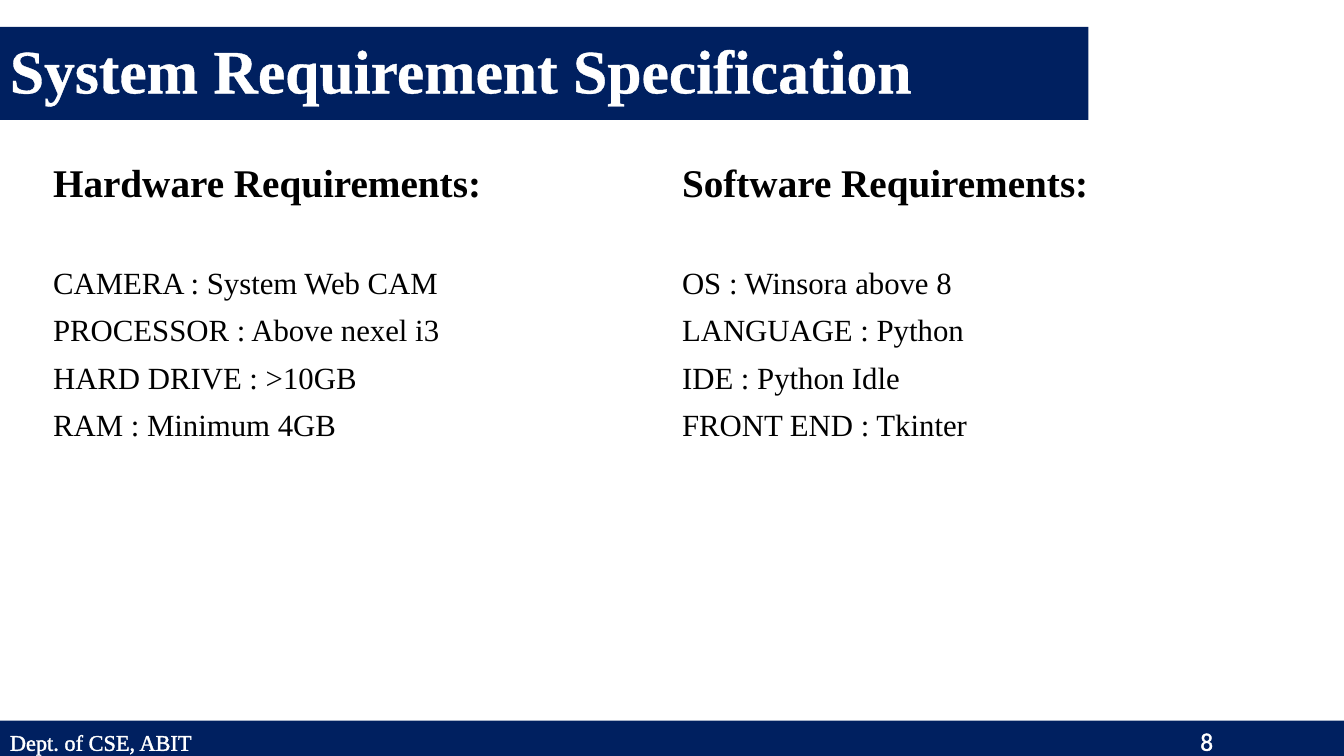
from lxml.etree import SubElement
from pptx import Presentation
from pptx.dml.color import RGBColor
from pptx.enum.shapes import MSO_SHAPE
from pptx.enum.text import MSO_ANCHOR, PP_ALIGN
from pptx.oxml.ns import qn
from pptx.util import Cm, Pt

NAVY = RGBColor(0x00, 0x20, 0x60)
WHITE = RGBColor(0xFF, 0xFF, 0xFF)
BLACK = RGBColor(0x00, 0x00, 0x00)
SERIF = "Times New Roman"

TITLE = "System Requirement Specification"
DEPARTMENT = "Dept. of CSE, ABIT"
PAGE = "8"
REQUIREMENTS = [
    ("Hardware Requirements:", Cm(1.09), Cm(13.84), [
        "CAMERA : System Web CAM",
        "PROCESSOR : Above nexel i3",
        "HARD DRIVE : >10GB",
        "RAM : Minimum 4GB",
    ]),
    ("Software Requirements:", Cm(16.94), Cm(11.15), [
        "OS : Winsora above 8",
        "LANGUAGE : Python",
        "IDE : Python Idle",
        "FRONT END : Tkinter",
    ]),
]

TITLE_FONT = {"name": SERIF, "size": Pt(44), "bold": True}
HEADING_FONT = {"name": SERIF, "size": Pt(28), "bold": True}
ITEM_FONT = {"name": SERIF, "size": Pt(22), "bold": False}
DEPARTMENT_FONT = {"name": SERIF, "size": Pt(16)}
PAGE_FONT = {"name": "Calibri", "size": Pt(18)}

SLIDE_WIDTH, SLIDE_HEIGHT = Cm(33.87), Cm(19.05)
FOOTER_TOP = Cm(18.16)
COLUMN_TOP, COLUMN_HEIGHT = Cm(4.01), Cm(11.33)
PAGE_TAB = Cm(30)
LINE_SPACING = 0.9
SPACE_BEFORE = Pt(10)
SPACE_AFTER_HEADING = Pt(34)


def add_text(paragraph, text, font, color):
    run = paragraph.add_run()
    run.text = text
    for attribute, value in font.items():
        setattr(run.font, attribute, value)
    run.font.color.rgb = color
    return run


def add_outlined_text(paragraph, text, font):
    """Add white text with a thin white line around its letters."""
    properties = add_text(paragraph, text, font, WHITE).font._element
    line = properties.makeelement(qn("a:ln"), {"w": str(Pt(0.75))})
    properties.insert(0, line)
    fill = SubElement(line, qn("a:solidFill"))
    SubElement(fill, qn("a:srgbClr"), val=str(WHITE))


def add_bar(slide, top, width, height, anchor):
    """Add a navy bar from the left edge and return its paragraph."""
    bar = slide.shapes.add_shape(MSO_SHAPE.RECTANGLE, 0, top, width, height)
    bar.shadow.inherit = False
    bar.fill.solid()
    bar.fill.fore_color.rgb = NAVY
    bar.line.fill.background()
    bar.text_frame.word_wrap = True
    bar.text_frame.vertical_anchor = anchor
    paragraph = bar.text_frame.paragraphs[0]
    paragraph.alignment = PP_ALIGN.LEFT
    return paragraph


def add_column(slide, heading, left, width, items):
    column = slide.shapes.add_textbox(left, COLUMN_TOP, width, COLUMN_HEIGHT)
    frame = column.text_frame
    frame.word_wrap = True
    lines = [(heading, HEADING_FONT)] + [(item, ITEM_FONT) for item in items]
    for index, (text, font) in enumerate(lines):
        paragraph = frame.add_paragraph() if index else frame.paragraphs[0]
        paragraph.line_spacing = LINE_SPACING
        paragraph.space_before = SPACE_BEFORE
        add_text(paragraph, text, font, BLACK)
    frame.paragraphs[0].space_after = SPACE_AFTER_HEADING


def main():
    presentation = Presentation()
    presentation.slide_width = SLIDE_WIDTH
    presentation.slide_height = SLIDE_HEIGHT
    slide = presentation.slides.add_slide(presentation.slide_layouts[6])

    title = add_bar(slide, Cm(0.68), Cm(27.43), Cm(2.34), MSO_ANCHOR.MIDDLE)
    title.line_spacing = LINE_SPACING
    add_outlined_text(title, TITLE, TITLE_FONT)

    for heading, left, width, items in REQUIREMENTS:
        add_column(slide, heading, left, width, items)

    footer = add_bar(slide, FOOTER_TOP, SLIDE_WIDTH,
                     SLIDE_HEIGHT - FOOTER_TOP, MSO_ANCHOR.TOP)
    tabs = SubElement(footer._p.get_or_add_pPr(), qn("a:tabLst"))
    SubElement(tabs, qn("a:tab"), pos=str(PAGE_TAB), algn="l")
    add_outlined_text(footer, DEPARTMENT + "\t", DEPARTMENT_FONT)
    add_outlined_text(footer, PAGE, PAGE_FONT)

    presentation.save("out.pptx")


if __name__ == "__main__":
    main()
